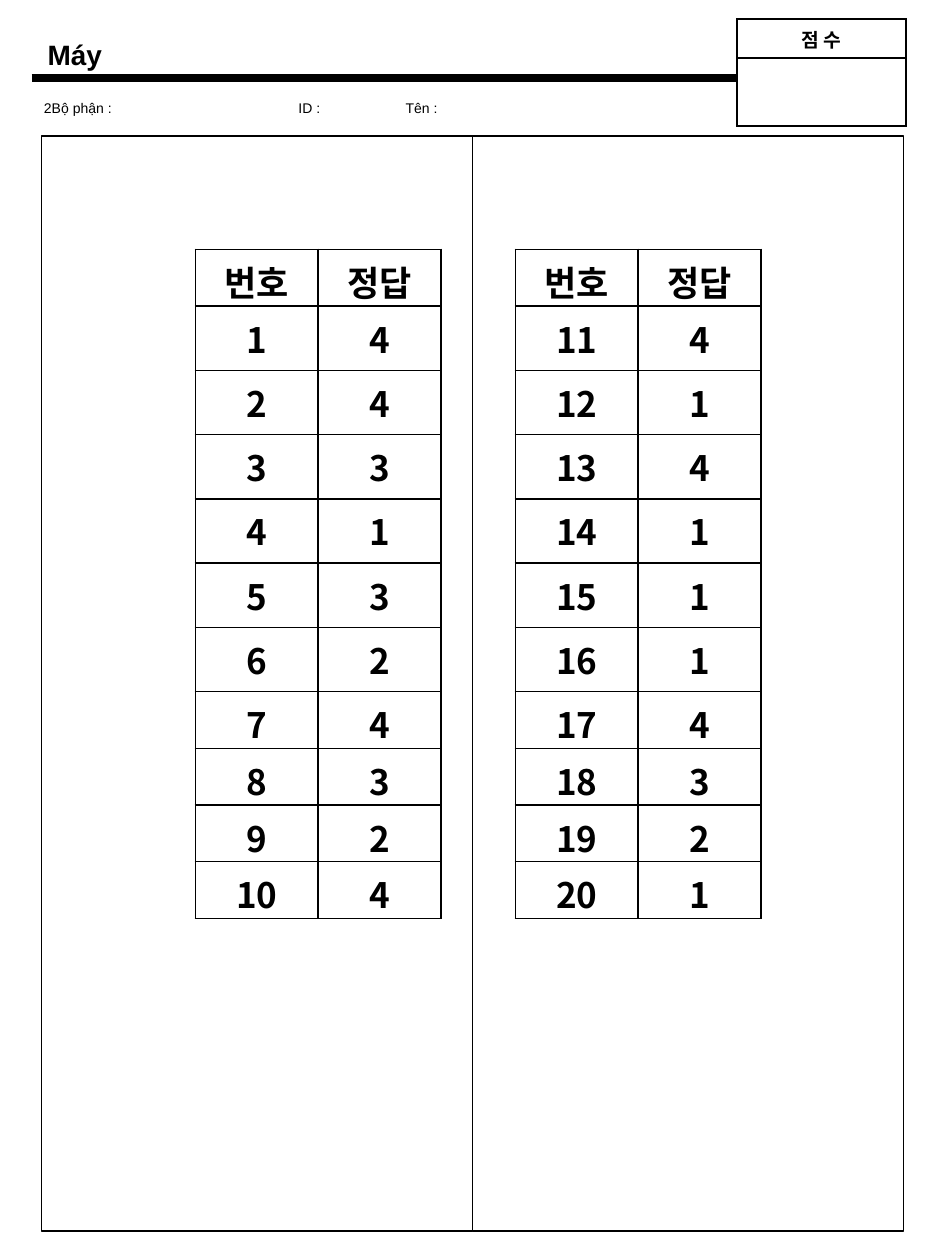
import pptx
import pptx.util
import pptx.dml.color
import pptx.enum.shapes
import pptx.enum.text
import pptx.oxml.ns
from lxml import etree

Inches, Pt = pptx.util.Inches, pptx.util.Pt
qn = pptx.oxml.ns.qn
COLORS = {"ink": "000000", "paper": "FFFFFF"}
LATIN, KOREAN = "Arial", "Noto Sans CJK KR"

TITLE = "Máy"
FIELDS = ["2Bộ phận :", "ID :", "Tên :"]
TABS = [2.02, 2.87]
SCORE = [["점 수"], [""]]
HEAD = ["번호", "정답"]
ANSWERS = [4, 4, 3, 1, 3, 2, 4, 3, 2, 4,
           4, 1, 4, 1, 1, 1, 4, 3, 2, 1]
HALF = 10
HEIGHTS = [0.45] + [0.51] * 6 + [0.45] * 4
# left edge and whether each column is filled
GRIDS = [(1.55, [False, True]), (4.09, [False, False])]


def color(name):
    return pptx.dml.color.RGBColor.from_string(COLORS[name])


def style(para, size, face, bold=False):
    font = para.font
    font.size, font.bold, font.name = Pt(size), bold, face
    font.color.rgb = color("ink")
    mark = para._p.pPr.find(qn("a:defRPr"))
    etree.SubElement(mark, qn("a:ea"), typeface=face)


def label(slide, text, box, size, bold=False, tabs=()):
    frame = slide.shapes.add_textbox(*map(Inches, box)).text_frame
    frame.word_wrap = False
    frame.auto_size = pptx.enum.text.MSO_AUTO_SIZE.SHAPE_TO_FIT_TEXT
    para = frame.paragraphs[0]
    para.text = text
    if tabs:
        stops = etree.SubElement(para._p.get_or_add_pPr(), qn("a:tabLst"))
        for stop in tabs:
            etree.SubElement(stops, qn("a:tab"), pos=str(Inches(stop)), algn="l")
    style(para, size, LATIN, bold)


def border(cell):
    """Rule all four sides; these must come before the cell's fill."""
    props = cell._tc.get_or_add_tcPr()
    for side in ("lnL", "lnR", "lnT", "lnB"):
        line = etree.SubElement(props, qn("a:" + side), w=str(Pt(1)))
        fill = etree.SubElement(line, qn("a:solidFill"))
        etree.SubElement(fill, qn("a:srgbClr"), val=COLORS["ink"])


def grid(slide, rows, left, top, width, heights, size, fills, anchor):
    cols = len(rows[0])
    table = slide.shapes.add_table(
        len(rows), cols, Inches(left), Inches(top),
        Inches(width), Inches(sum(heights))).table
    table.first_row = table.horz_banding = False
    for col in table.columns:
        col.width = Inches(width / cols)
    for r, row in enumerate(rows):
        table.rows[r].height = Inches(heights[r])
        for c, text in enumerate(row):
            cell = table.cell(r, c)
            border(cell)
            if fills[c]:
                cell.fill.solid()
                cell.fill.fore_color.rgb = color("paper")
            else:
                cell.fill.background()
            cell.vertical_anchor = anchor
            para = cell.text_frame.paragraphs[0]
            para.text = text
            para.alignment = pptx.enum.text.PP_ALIGN.CENTER
            style(para, size, KOREAN, True)


def main():
    deck = pptx.Presentation()
    deck.slide_width, deck.slide_height = Inches(7.5), Inches(10)
    slide = deck.slides.add_slide(deck.slide_layouts[6])
    anchors = pptx.enum.text.MSO_ANCHOR

    rule = slide.shapes.add_connector(
        pptx.enum.shapes.MSO_CONNECTOR.STRAIGHT,
        Inches(0.25), Inches(0.62), Inches(7.17), Inches(0.62))
    rule.line.width = Pt(4.5)
    rule.line.color.rgb = color("ink")
    etree.SubElement(rule._element.spPr, qn("a:effectLst"))

    label(slide, "\t".join(FIELDS), (0.25, 0.74, 3.42, 0.24), 8, tabs=TABS)

    for i in range(2):
        panel = slide.shapes.add_shape(
            pptx.enum.shapes.MSO_SHAPE.RECTANGLE,
            Inches(0.33 + 3.42 * i), Inches(1.08), Inches(3.42), Inches(8.69))
        panel.shadow.inherit = False
        panel.fill.background()
        panel.line.color.rgb = color("ink")
        panel.line.width = Pt(0.75)

    grid(slide, SCORE, 5.85, 0.15, 1.34, [0.31, 0.54], 11, [True], anchors.MIDDLE)

    pairs = [[str(n), str(a)] for n, a in enumerate(ANSWERS, 1)]
    for i, (left, fills) in enumerate(GRIDS):
        rows = [HEAD] + pairs[i * HALF:(i + 1) * HALF]
        grid(slide, rows, left, 1.98, 1.95, HEIGHTS, 20, fills, anchors.TOP)

    label(slide, TITLE, (0.28, 0.25, 0.64, 0.37), 16, bold=True)
    deck.save("out.pptx")


if __name__ == "__main__":
    main()
